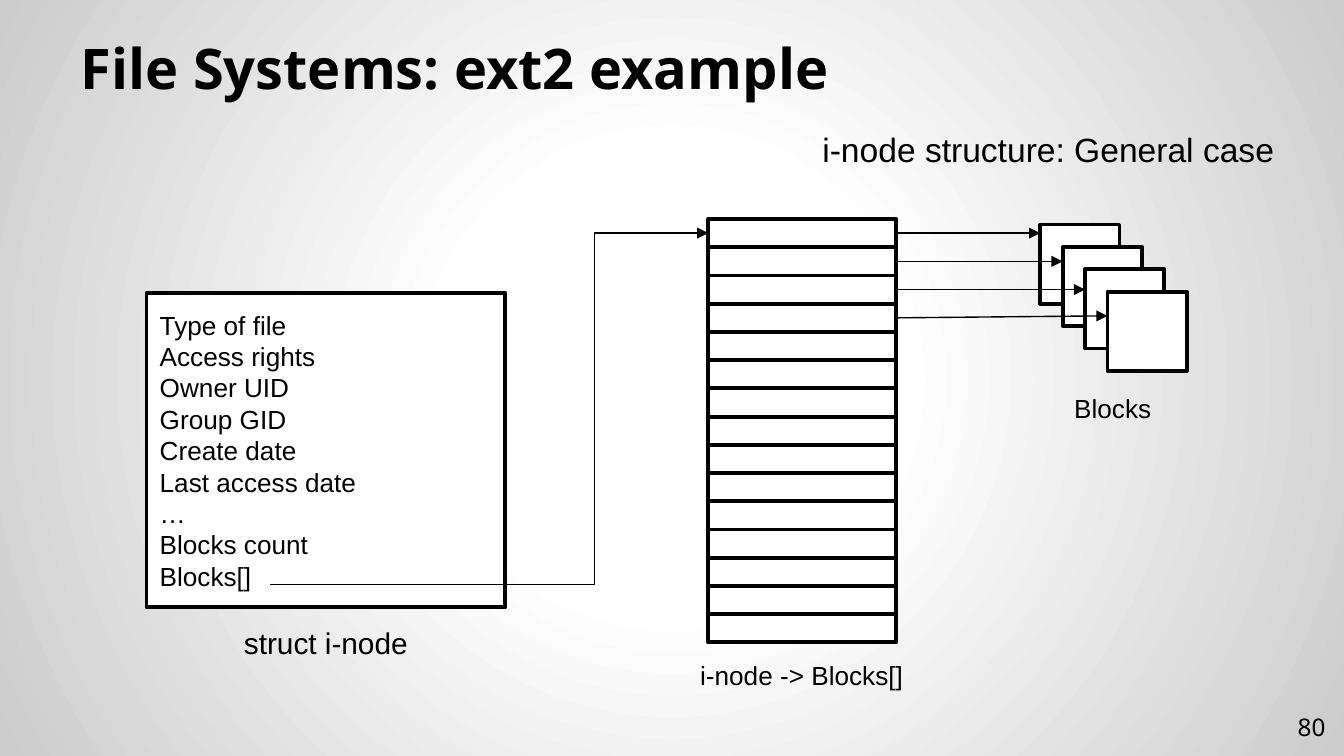
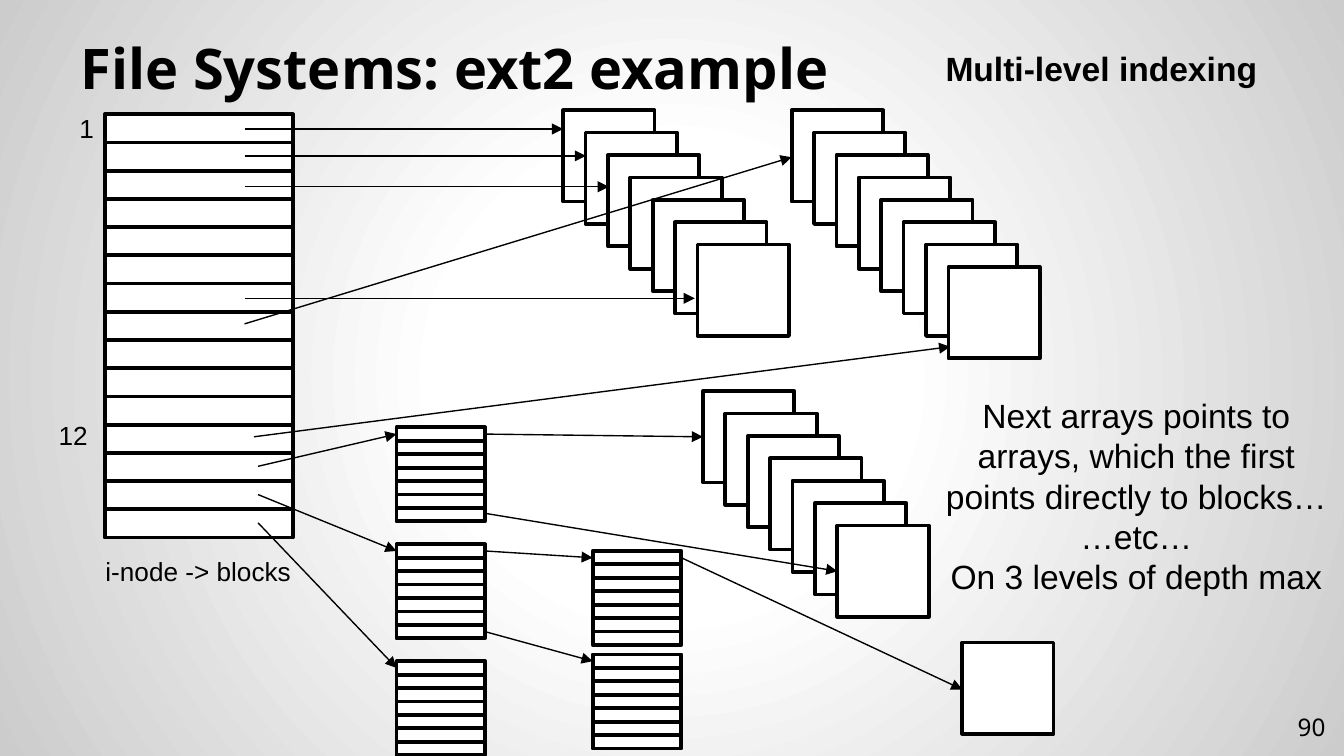
"""Builds two slides on the block indexing of ext2 i-nodes."""
from dataclasses import dataclass

import lxml.etree
import pptx
import pptx.dml.color
import pptx.enum.shapes
import pptx.enum.text
import pptx.oxml
import pptx.oxml.ns
import pptx.util

Inches, Pt = pptx.util.Inches, pptx.util.Pt
PP_ALIGN = pptx.enum.text.PP_ALIGN
MSO_ANCHOR = pptx.enum.text.MSO_ANCHOR
MSO_AUTO_SIZE = pptx.enum.text.MSO_AUTO_SIZE
MSO_CONNECTOR = pptx.enum.shapes.MSO_CONNECTOR
qn = pptx.oxml.ns.qn


@dataclass(frozen=True)
class Theme:
    ink: str = "000000"
    paper: str = "FFFFFF"
    edge: str = "CCCCCC"
    head_font: str = "Noto Sans"
    body_font: str = "Arial"
    title: int = 30
    lead: int = 18
    caption: int = 16
    label: int = 14
    number: int = 13
    outline: float = 2
    arrow: float = 0.75


T = Theme()
SLIDE_W = 10
SLIDE_H = SLIDE_W * 9 / 16
TITLE = "File Systems: ext2 example"
TITLE_BOX = (0.5, 0.23, 9, 0.62)
NUMBER_BOX = (9.36, 5.19, 0.6, 0.43)

INODE_FIELDS = [
    "Type of file", "Access rights", "Owner UID", "Group GID", "Create date",
    "Last access date", "…", "Blocks count", "Blocks[]",
]
INODE_BOX = (1.09, 2.18, 2.67, 2.34)
INODE_ROWS, INODE_PITCH, INODE_W = 15, 0.21, 1.4
INDEX_ROWS, INDEX_PITCH, INDEX_W = 7, 0.1, 0.66
STACK_STEP = 1 / 6
BLOCK = 0.68

GENERAL_ARRAY = (5.27, 1.63)
GENERAL_STACK = (7.74, 1.67)
GENERAL_BLOCKS, GENERAL_BLOCK = 4, 0.59
GENERAL_LABELS = [
    ("struct i-node", (1.09, 4.6, 2.67, 0.37), T.caption, False),
    ("i-node -> Blocks[]", (4.91, 4.86, 2.11, 0.34), T.label, False),
    ("Blocks", (7.65, 2.87, 1.26, 0.34), T.label, False),
    ("i-node structure: General case", (5.94, 0.91, 3.72, 0.4), T.lead, False),
]

MULTI_ARRAY = (0.78, 0.85)
MULTI_LABELS = [
    ("i-node -> blocks", (0.42, 4.08, 2.11, 0.34), T.label, False),
    ("Multi-level indexing", (6.89, 0.31, 2.61, 0.4), T.lead, True),
    ("1", (0.48, 0.79, 0.33, 0.34), T.label, False),
    ("12", (0.28, 3.07, 0.53, 0.34), T.label, False),
    ("Next arrays points to arrays, which the first points directly to blocks…\n"
     "…etc…\nOn 3 levels of depth max", (6.91, 2.89, 3.09, 1.62), T.lead, False),
]
MULTI_LAYERS = [
    {"indexes": [(2.95, 4.05), (2.95, 3.18)],
     "stacks": [(4.19, 0.82, 7)],
     "arrows": [(1.82, 0.96, 4.19, 0.96), (1.82, 1.16, 4.36, 1.16),
                (1.82, 1.39, 4.53, 1.39), (1.82, 2.22, 5.17, 2.22),
                (1.89, 3.25, 7.07, 2.58)]},
    {"indexes": [(2.95, 4.92)],
     "stacks": [(5.89, 0.82, 8)],
     "arrows": [(1.82, 2.41, 5.89, 1.17), (1.92, 3.47, 2.95, 3.23),
                (1.92, 3.68, 2.95, 4.1), (1.92, 3.89, 2.95, 4.97)]},
    {"indexes": [(4.41, 4.1), (4.41, 4.87)],
     "stacks": [(5.23, 2.91, 7), (7.16, 4.78, 1)],
     "arrows": [(3.61, 3.23, 5.23, 3.25), (3.61, 3.82, 6.23, 4.25),
                (3.61, 4.1, 4.41, 4.15), (3.61, 4.7, 4.41, 4.92),
                (5.07, 4.15, 7.16, 5.13)]},
]


def rgb(value):
    """Return a colour object for a hex string."""
    return pptx.dml.color.RGBColor.from_string(value)


def inches(values):
    """Convert a sequence of lengths to EMU."""
    return [Inches(v) for v in values]


def write(tf, text, size, align, anchor, font=T.body_font, bold=False):
    """Fill a text frame and format every run in it."""
    tf.word_wrap = True
    tf.vertical_anchor = anchor
    tf.text = text
    for p in tf.paragraphs:
        p.alignment = align
        for r in p.runs:
            r.font.name, r.font.size, r.font.bold = font, Pt(size), bold
            r.font.color.rgb = rgb(T.ink)


def pad(tf):
    """Give a text frame equal insets on all sides."""
    tf.margin_left = tf.margin_right = tf.margin_top = tf.margin_bottom = Inches(0.1)


def add_label(s, text, box, size, bold):
    """Add a centred text box that grows with its text."""
    tf = s.shapes.add_textbox(*inches(box)).text_frame
    write(tf, text, size, PP_ALIGN.CENTER, MSO_ANCHOR.TOP, bold=bold)
    tf.auto_size = MSO_AUTO_SIZE.SHAPE_TO_FIT_TEXT


def add_rect(shapes, *box):
    """Add a white rectangle with a heavy outline."""
    sp = shapes.add_shape(pptx.enum.shapes.MSO_SHAPE.RECTANGLE, *inches(box))
    sp.shadow.inherit = False
    sp.fill.solid()
    sp.fill.fore_color.rgb = rgb(T.paper)
    sp.line.color.rgb = rgb(T.ink)
    sp.line.width = Pt(T.outline)
    return sp


def add_array(s, x, y, rows, pitch, width):
    """Add a group of equal cells, one below the other."""
    shapes = s.shapes.add_group_shape().shapes
    for i in range(rows):
        add_rect(shapes, x, y + i * pitch, width, pitch)


def add_stack(s, x, y, count, size=BLOCK):
    """Add overlapping blocks along a diagonal."""
    for i in range(count):
        add_rect(s.shapes, x + i * STACK_STEP, y + i * STACK_STEP, size, size)


def add_arrow(s, points, bend=None):
    """Add an arrow, straight or bent at a share of its width."""
    kind = MSO_CONNECTOR.STRAIGHT if bend is None else MSO_CONNECTOR.ELBOW
    c = s.shapes.add_connector(kind, *inches(points))
    c.line.color.rgb = rgb(T.ink)
    c.line.width = Pt(T.arrow)
    sp_pr = c._element.spPr
    lxml.etree.SubElement(sp_pr.find(qn("a:ln")), qn("a:tailEnd"), type="triangle")
    lxml.etree.SubElement(sp_pr, qn("a:effectLst"))
    if bend is not None:
        guides = sp_pr.find(qn("a:prstGeom")).find(qn("a:avLst"))
        lxml.etree.SubElement(guides, qn("a:gd"), name="adj1",
                              fmla=f"val {round(bend * 100000)}")


def set_background(master):
    """Give the master a circular gradient."""
    master.background.fill.solid()
    solid = master._element.find(".//" + qn("p:bgPr")).find(qn("a:solidFill"))
    stops = "".join(
        f'<a:gs pos="{share * 1000}"><a:srgbClr val="{color}"/></a:gs>'
        for share, color in [(0, T.paper), (30, T.paper), (100, T.edge)])
    grad = pptx.oxml.parse_xml(
        f'<a:gradFill {pptx.oxml.ns.nsdecls("a")}><a:gsLst>{stops}</a:gsLst>'
        '<a:path path="circle"><a:fillToRect l="50000" t="50000" r="50000" '
        'b="50000"/></a:path></a:gradFill>')
    solid.getparent().replace(solid, grad)


def new_slide(prs, number):
    """Add a slide with the shared title and a page number."""
    s = prs.slides.add_slide(prs.slide_layouts[5])
    title = s.shapes.title
    title.left, title.top, title.width, title.height = inches(TITLE_BOX)
    write(title.text_frame, TITLE, T.title, PP_ALIGN.LEFT, MSO_ANCHOR.BOTTOM,
          T.head_font, True)
    title.text_frame.auto_size = MSO_AUTO_SIZE.NONE
    pad(title.text_frame)
    tf = s.shapes.add_textbox(*inches(NUMBER_BOX)).text_frame
    write(tf, str(number), T.number, PP_ALIGN.RIGHT, MSO_ANCHOR.MIDDLE, T.head_font)
    pad(tf)
    return s


def build_general(prs):
    """Draw the i-node, its block array and the first blocks."""
    s = new_slide(prs, 80)
    inode = add_rect(s.shapes, *INODE_BOX)
    write(inode.text_frame, "\n".join(INODE_FIELDS), T.label, PP_ALIGN.LEFT,
          MSO_ANCHOR.MIDDLE)
    x, y = GENERAL_ARRAY
    first_row = y + INODE_PITCH / 2
    add_array(s, x, y, INODE_ROWS, INODE_PITCH, INODE_W)
    add_arrow(s, (2.01, 4.35, x, first_row), bend=0.74)
    add_stack(s, *GENERAL_STACK, GENERAL_BLOCKS, GENERAL_BLOCK)
    for i in range(GENERAL_BLOCKS):
        row = first_row + i * INODE_PITCH
        end = min(row, 2.35)
        add_arrow(s, (x + INODE_W, row, GENERAL_STACK[0] + i * STACK_STEP, end))
    for label in GENERAL_LABELS:
        add_label(s, *label)


def build_multi_level(prs):
    """Draw direct blocks and the nested index arrays."""
    s = new_slide(prs, 90)
    add_array(s, *MULTI_ARRAY, INODE_ROWS, INODE_PITCH, INODE_W)
    for layer in MULTI_LAYERS:
        for x, y in layer["indexes"]:
            add_array(s, x, y, INDEX_ROWS, INDEX_PITCH, INDEX_W)
        for stack in layer["stacks"]:
            add_stack(s, *stack)
        for points in layer["arrows"]:
            add_arrow(s, points)
    for label in MULTI_LABELS:
        add_label(s, *label)


def main():
    """Build the slides and save them."""
    prs = pptx.Presentation()
    prs.slide_width, prs.slide_height = inches((SLIDE_W, SLIDE_H))
    set_background(prs.slide_master)
    build_general(prs)
    build_multi_level(prs)
    prs.save("out.pptx")


if __name__ == "__main__":
    main()
